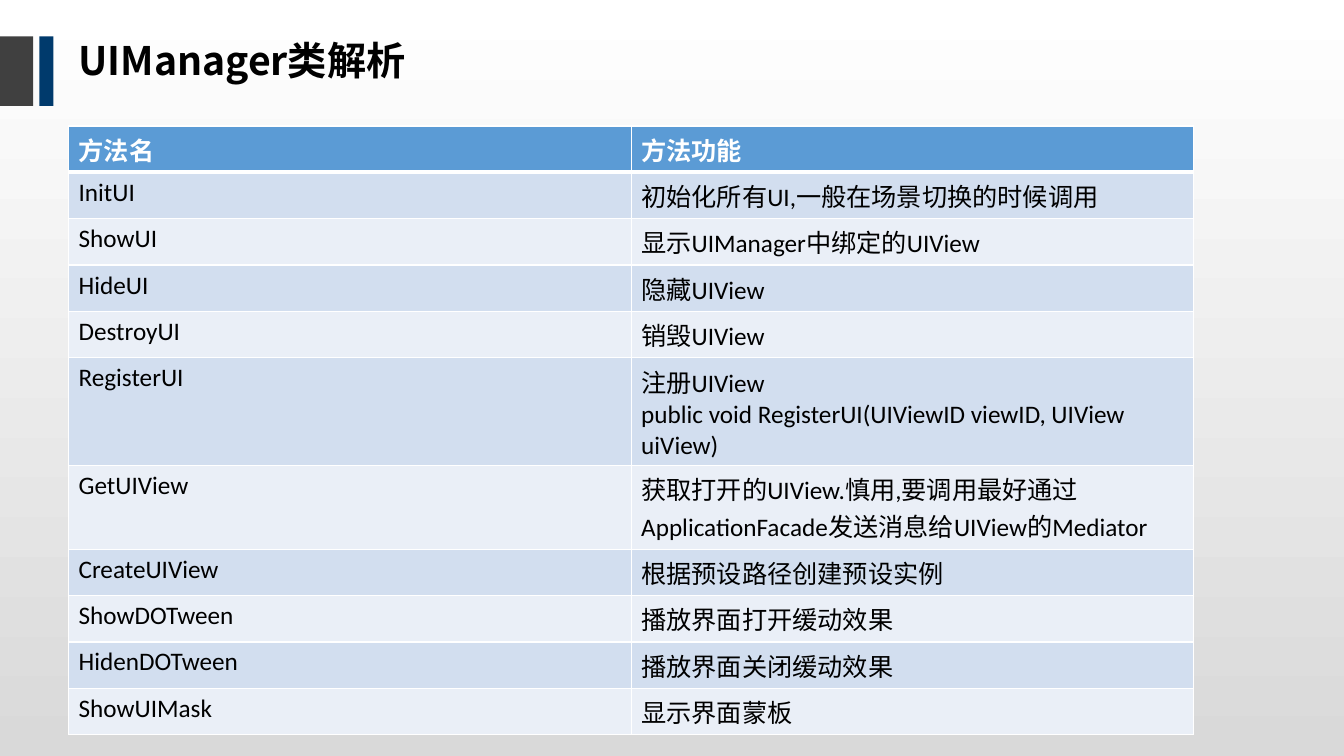
from lxml import etree
from pptx import Presentation
from pptx.dml.color import RGBColor as RGB
from pptx.enum.shapes import MSO_SHAPE as SHAPE
from pptx.enum.text import MSO_ANCHOR as ANCHOR
from pptx.oxml.ns import qn
from pptx.util import Inches, Pt

COLORS = {
    "white": "FFFFFF", "black": "000000", "gray": "D9D9D9",
    "charcoal": "404040", "navy": "003A6C",
    "header": "5B9BD5", "odd": "D2DEEF", "even": "EAEFF7",
}
COLORS = {name: RGB.from_string(value) for name, value in COLORS.items()}
WIDTH, HEIGHT = 13.33, 7.5
LEFT, TOP = 0.68, 0.36
TABLE_TOP, COL_W, ROW_H = 1.25, 5.58, 0.46
TALL_ROWS = {"RegisterUI": 1.07, "GetUIView": 0.83}

METHODS = [
    ("方法名", "方法功能"),
    ("InitUI", "初始化所有UI,一般在场景切换的时候调用"),
    ("ShowUI", "显示UIManager中绑定的UIView"),
    ("HideUI", "隐藏UIView"),
    ("DestroyUI", "销毁UIView"),
    ("RegisterUI", "注册UIView\npublic void RegisterUI(UIViewID viewID, UIView uiView)"),
    ("GetUIView", "获取打开的UIView.慎用,要调用最好通过ApplicationFacade发送消息给UIView的Mediator"),
    ("CreateUIView", "根据预设路径创建预设实例"),
    ("ShowDOTween", "播放界面打开缓动效果"),
    ("HidenDOTween", "播放界面关闭缓动效果"),
    ("ShowUIMask", "显示界面蒙板"),
]


def style_font(p, name, size, color, bold):
    p.font.name, p.font.size, p.font.bold = name, Pt(size), bold
    p.font.color.rgb = COLORS[color]


def add_block(x, y, w, h):
    """Add a rectangle without outline or shadow, placed in inches."""
    sp = slide.shapes.add_shape(SHAPE.RECTANGLE, *map(Inches, (x, y, w, h)))
    sp.shadow.inherit = False
    sp.line.fill.background()
    return sp


prs = Presentation()
prs.slide_width, prs.slide_height = Inches(WIDTH), Inches(HEIGHT)
slide = prs.slides.add_slide(prs.slide_layouts[6])

# Backdrop, fading from white at the top to gray
fill = add_block(-0.26, 0, WIDTH + 0.26, HEIGHT).fill
fill.gradient()
fill.gradient_angle = 270
for stop, position, color in zip(fill.gradient_stops, (0, 1), ("white", "gray")):
    stop.position = position
    stop.color.rgb = COLORS[color]

# Title markers
for x, w, color in [(0, 0.33, "charcoal"), (0.39, 0.14, "navy")]:
    fill = add_block(x, TOP, w, 0.69).fill
    fill.solid()
    fill.fore_color.rgb = COLORS[color]

# Title
title = slide.shapes.add_textbox(*map(Inches, (LEFT, TOP, 8.62, 0.47)))
tf = title.text_frame
tf.word_wrap = True
tf.vertical_anchor = ANCHOR.MIDDLE
tf.margin_top = Inches(0.11)
p = tf.paragraphs[0]
r = p.add_run()
r.text = "UIManager类解析"
p.line_spacing, p.space_before = 0.9, Pt(10)
style_font(p, "Noto Sans CJK SC", 28, "black", True)
etree.SubElement(r.font._element, qn("a:ea"), typeface="Noto Sans CJK SC")

# Method table
heights = [TALL_ROWS.get(name, ROW_H) for name, _ in METHODS]
table = slide.shapes.add_table(
    len(METHODS), 2, Inches(LEFT), Inches(TABLE_TOP),
    Inches(2 * COL_W), Inches(sum(heights))).table
for col in table.columns:
    col.width = Inches(COL_W)
for i, texts in enumerate(METHODS):
    table.rows[i].height = Inches(heights[i])
    is_header = i == 0
    band = "header" if is_header else ("even", "odd")[i % 2]
    for cell, text in zip(table.rows[i].cells, texts):
        cell.text = text
        for side in "LRTB":
            thick = (is_header and side == "B") or (i == 1 and side == "T")
            ln = etree.SubElement(cell._tc.get_or_add_tcPr(), qn(f"a:ln{side}"),
                                  w=str(Pt(3 if thick else 1)))
            line_fill = etree.SubElement(ln, qn("a:solidFill"))
            etree.SubElement(line_fill, qn("a:srgbClr"), val=str(COLORS["white"]))
        cell.fill.solid()
        cell.fill.fore_color.rgb = COLORS[band]
        for p in cell.text_frame.paragraphs:
            style_font(p, "Calibri", 18, "white" if is_header else "black", is_header)

prs.save("out.pptx")
